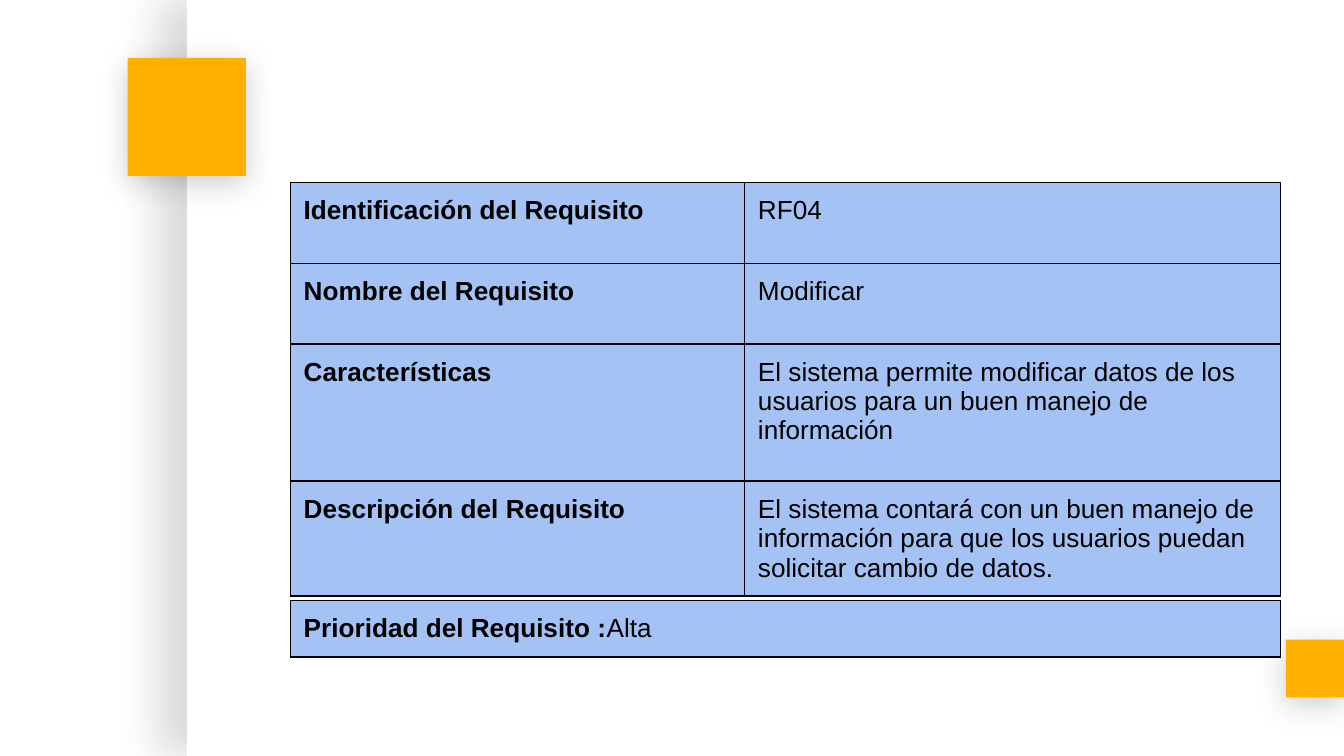
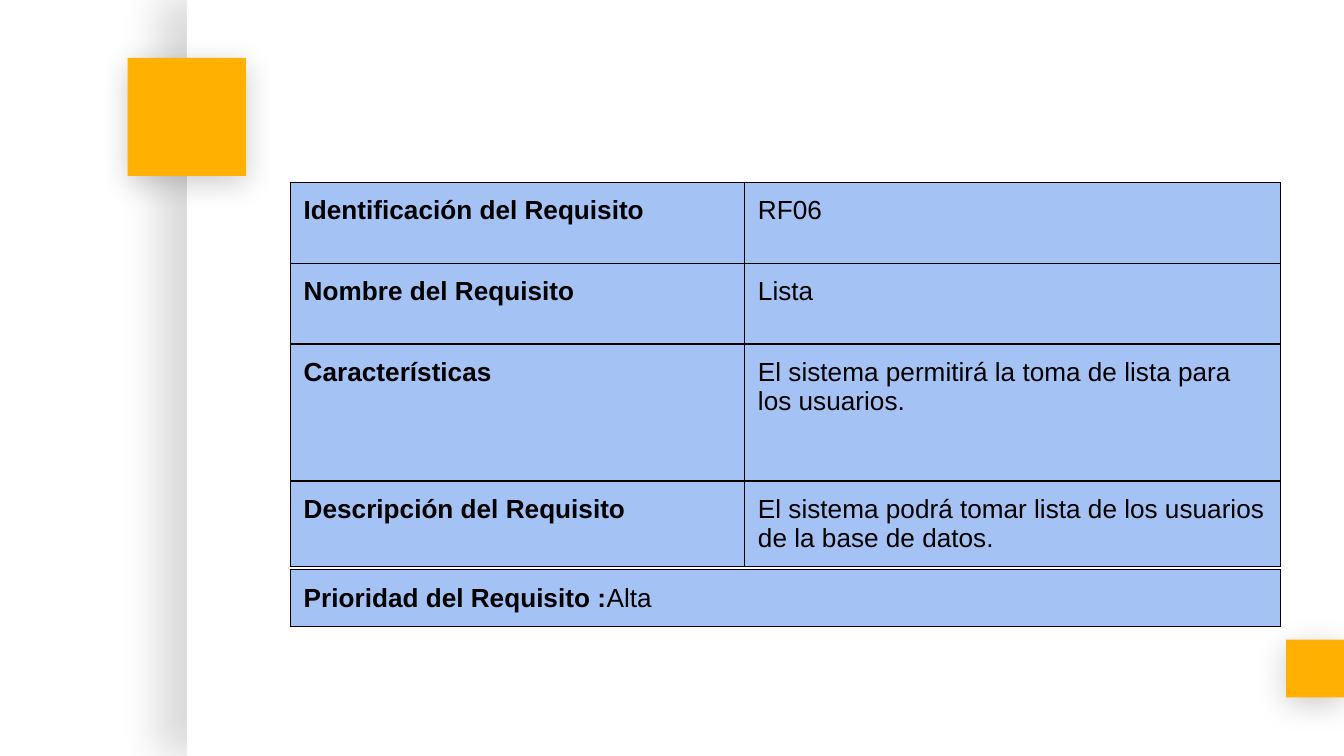
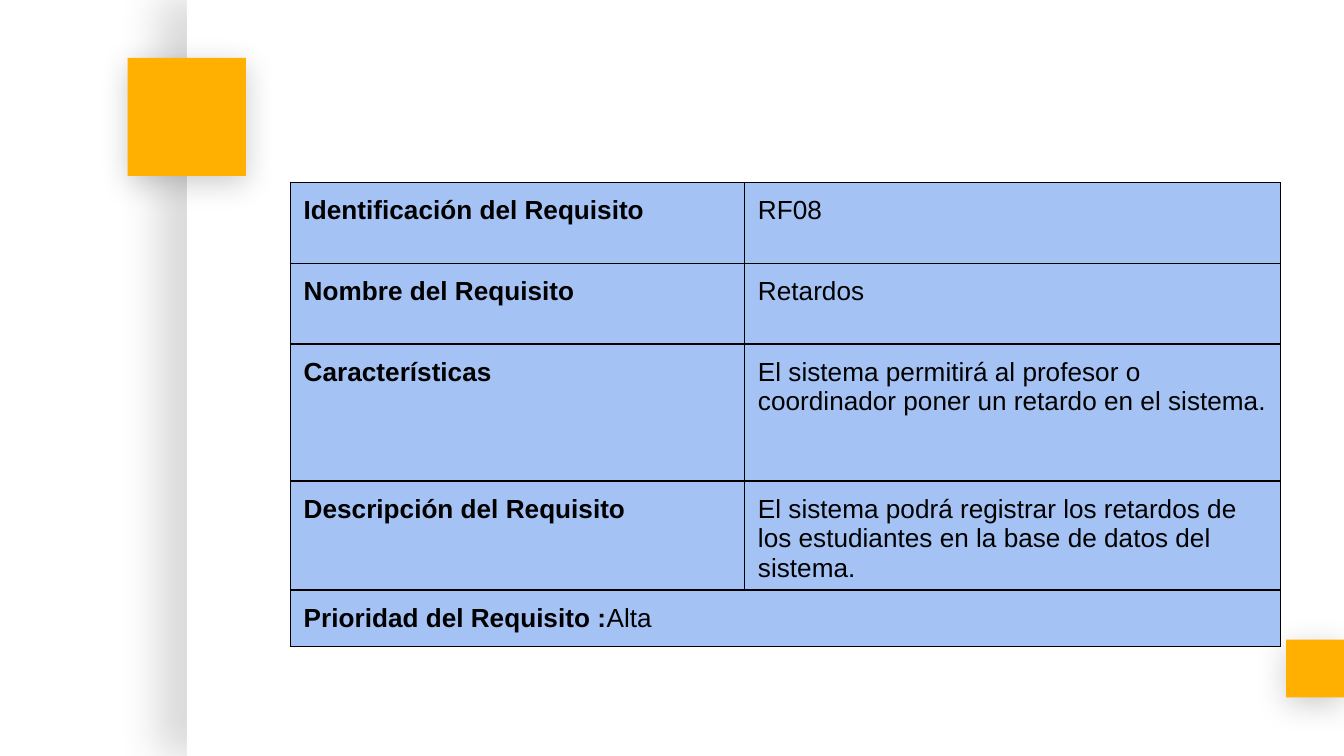
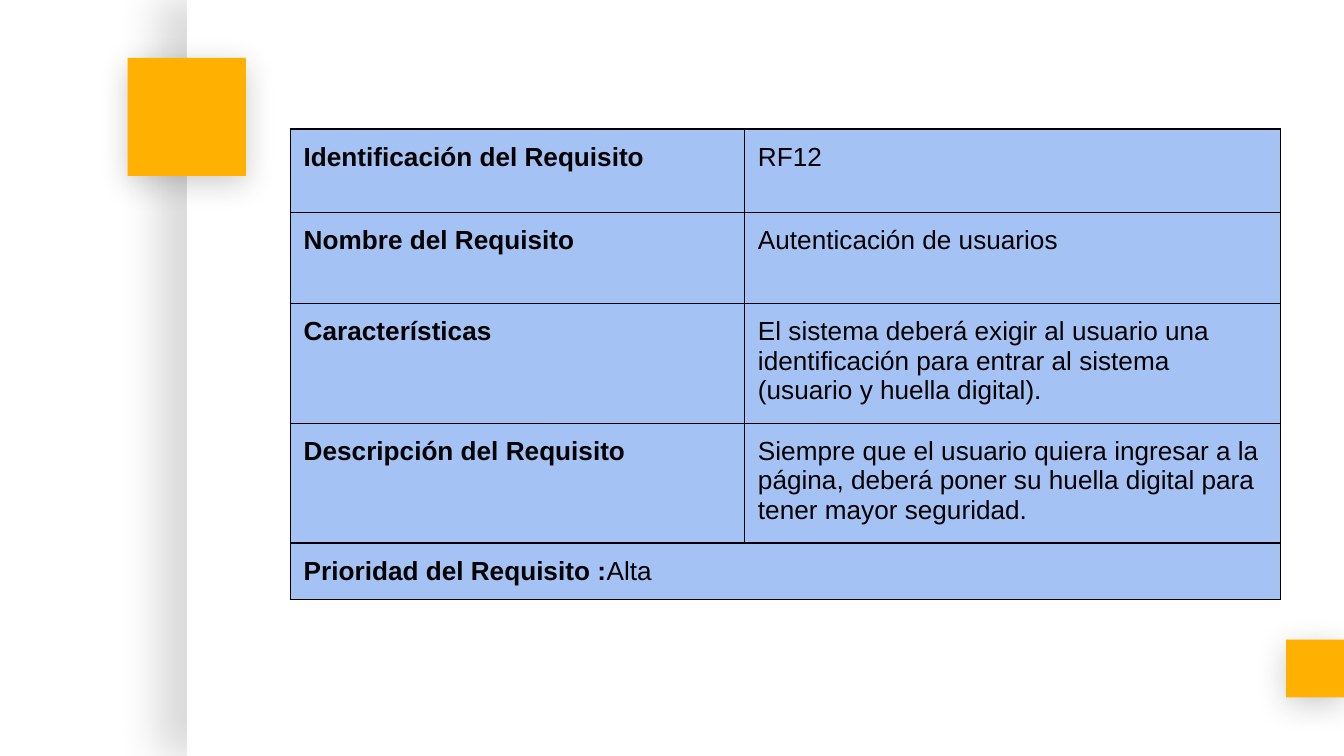
from lxml.etree import SubElement
from pptx import Presentation
from pptx.dml.color import RGBColor
from pptx.enum.shapes import MSO_SHAPE
from pptx.oxml.ns import qn
from pptx.util import Inches, Pt

COLORS = {"paper": "FFFFFF", "accent": "FFB000", "cell": "A4C2F4", "ink": "000000"}
SLIDE_W = 10
SLIDE_H = SLIDE_W * 9 / 16
TABLE_LEFT = 2.16
COLUMNS = [3.38, 3.99]
ROWS = [0.6, 0.6, 1.02, 0.6]
INSET = 0.1
LABELS = [
    "Identificación del Requisito",
    "Nombre del Requisito",
    "Características",
    "Descripción del Requisito",
]
PANEL_SHADOW = {"alpha": 15, "blur": 22.5, "dist": 15, "angle": 180}
SQUARE_SHADOW = {"alpha": 20, "blur": 16.9, "dist": 3.8, "angle": 90}
DECOR = [
    ((1.39, 0, 8.61, SLIDE_H), "paper", PANEL_SHADOW),
    ((9.57, 4.76, 0.43, 0.43), "accent", SQUARE_SHADOW),
    ((0.95, 0.43, 0.88, 0.88), "accent", SQUARE_SHADOW),
]
REQUIREMENTS = [
    {
        "values": [
            "RF04",
            "Modificar",
            "El sistema permite modificar datos de los usuarios para un buen manejo de información",
            "El sistema contará con un buen manejo de información para que los usuarios puedan solicitar cambio de datos.",
        ],
        "top": 1.36, "rows": ROWS, "priority_top": 4.47, "priority_height": 0.2,
    },
    {
        "values": [
            "RF06",
            "Lista",
            "El sistema permitirá la toma de lista para los usuarios.",
            "El sistema podrá tomar lista de los usuarios de la base de datos.",
        ],
        "top": 1.36, "rows": ROWS, "priority_top": 4.24, "priority_height": 0.28,
    },
    {
        "values": [
            "RF08",
            "Retardos",
            "El sistema permitirá al profesor o coordinador poner un retardo en el sistema.",
            "El sistema podrá registrar los retardos de los estudiantes en la base de datos del sistema.",
        ],
        "top": 1.36, "rows": ROWS, "priority_top": 4.39, "priority_height": 0.28,
    },
    {
        "values": [
            "RF12",
            "Autenticación de usuarios",
            "El sistema deberá exigir al usuario una identificación para entrar al sistema (usuario y huella digital).",
            "Siempre que el usuario quiera ingresar a la página, deberá poner su huella digital para tener mayor seguridad.",
        ],
        "top": 0.96, "rows": [0.62, 0.68, 0.89, 1.15],
        "priority_top": 4.04, "priority_height": 0.37,
    },
]


def rgb(name):
    return RGBColor.from_string(COLORS[name])


def add_shadow(shape, alpha, blur, dist, angle):
    shape.shadow.inherit = False
    effects = shape._element.spPr.find(qn("a:effectLst"))
    shadow = SubElement(effects, qn("a:outerShdw"), blurRad=str(Pt(blur)),
                        dist=str(Pt(dist)), dir=str(angle * 60000),
                        algn="bl", rotWithShape="0")
    color = SubElement(shadow, qn("a:srgbClr"), val=COLORS["ink"])
    SubElement(color, qn("a:alpha"), val=str(alpha * 1000))


def decorate_layout(layout, s):
    for box, color, shadow in DECOR:
        shape = s.shapes.add_shape(MSO_SHAPE.RECTANGLE, *map(Inches, box))
        shape.fill.solid()
        shape.fill.fore_color.rgb = rgb(color)
        shape.line.fill.background()
        add_shadow(shape, **shadow)
        layout.shapes._spTree.append(shape._element)


def add_borders(cell):
    tcPr = cell._tc.get_or_add_tcPr()
    for side in ("lnL", "lnR", "lnT", "lnB"):
        ln = SubElement(tcPr, qn(f"a:{side}"), w=str(Pt(0.75)))
        fill = SubElement(ln, qn("a:solidFill"))
        SubElement(fill, qn("a:srgbClr"), val=COLORS["ink"])


def fill_cell(cell, runs):
    for side in ("left", "right", "top", "bottom"):
        setattr(cell, f"margin_{side}", Inches(INSET))
    add_borders(cell)
    cell.fill.solid()
    cell.fill.fore_color.rgb = rgb("cell")
    p = cell.text_frame.paragraphs[0]
    for text, bold in runs:
        r = p.add_run()
        r.text = text
        for key, value in {"name": "Arial", "size": Pt(14), "bold": bold}.items():
            setattr(r.font, key, value)
        r.font.color.rgb = rgb("ink")


def add_grid(s, left, top, columns, rows, content):
    box = (left, top, sum(columns), sum(rows))
    table = s.shapes.add_table(len(rows), len(columns), *map(Inches, box)).table
    table.first_row = table.horz_banding = False
    for column, width in zip(table.columns, columns):
        column.width = Inches(width)
    for row, height, cells in zip(table.rows, rows, content):
        row.height = Inches(height)
        for cell, runs in zip(row.cells, cells):
            fill_cell(cell, runs)


def fill_requirement(s, values, top, rows, priority_top, priority_height):
    details = [[[(label, True)], [(value, False)]]
               for label, value in zip(LABELS, values)]
    priority = [[[("Prioridad del Requisito :", True), ("Alta", False)]]]
    add_grid(s, TABLE_LEFT, top, COLUMNS, rows, details)
    add_grid(s, TABLE_LEFT, priority_top, [sum(COLUMNS)], [priority_height], priority)


def main():
    prs = Presentation()
    prs.slide_width, prs.slide_height = Inches(SLIDE_W), Inches(SLIDE_H)
    layout = prs.slide_layouts[6]
    layout.background.fill.solid()
    layout.background.fill.fore_color.rgb = rgb("paper")
    slides = [prs.slides.add_slide(layout) for _ in REQUIREMENTS]
    decorate_layout(layout, slides[0])
    for s, requirement in zip(slides, REQUIREMENTS):
        fill_requirement(s, **requirement)
    prs.save("out.pptx")


if __name__ == "__main__":
    main()
